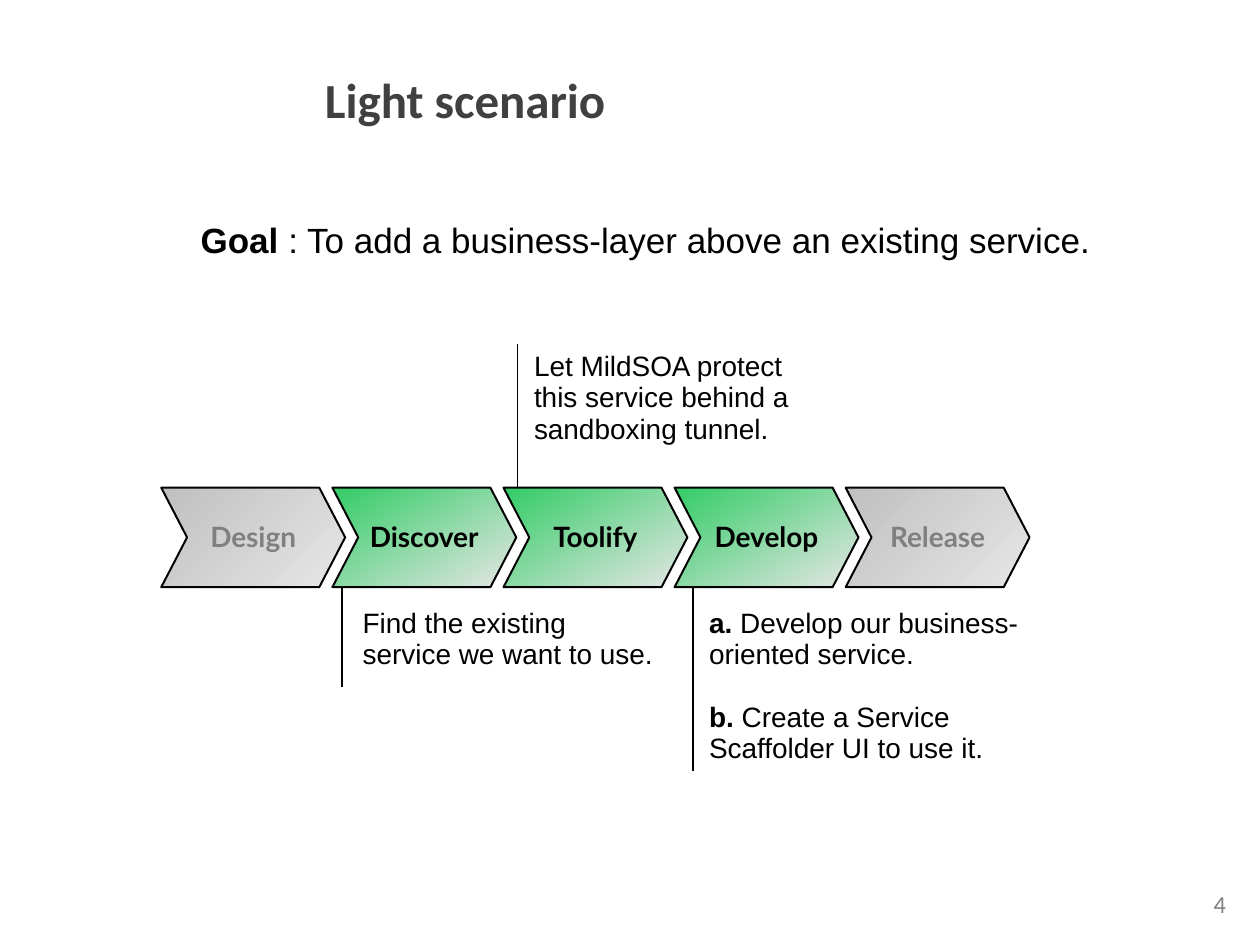
from pptx import Presentation, util as u
from pptx.dml.color import RGBColor
from pptx.enum import shapes, text
from lxml import etree

COLORS = {"ink": "000000", "title": "404040", "muted": "808080",
          "green": "33CC66", "silver": "C0C0C0", "pale": "E6E6E6"}
A_NS = "http://schemas.openxmlformats.org/drawingml/2006/main"
COLS, ROWS = 100, 75


def rgb(name):
    return RGBColor.from_string(COLORS[name])


class Deck:
    """Slide style; lengths are columns and rows of a 100 x 75 grid."""

    def __init__(self):
        self.prs = Presentation()
        self.prs.slide_width, self.prs.slide_height = u.Inches(10), u.Inches(7.5)
        self.s = self.prs.slides.add_slide(self.prs.slide_layouts[6])

    def x(self, cols):
        return round(self.prs.slide_width * cols / COLS)

    def y(self, rows):
        return round(self.prs.slide_height * rows / ROWS)

    def box(self, left, top, width, height):
        return self.x(left), self.y(top), self.x(width), self.y(height)

    def add_runs(self, tf, paragraphs, font, size, color, align, spacing, gap=0):
        """Each paragraph is a list of (words, bold) runs."""
        for i, runs in enumerate(paragraphs):
            p = tf.add_paragraph() if i else tf.paragraphs[0]
            p.alignment, p.line_spacing = align, spacing
            if i:
                p.space_before = u.Pt(gap)
            for words, bold in runs:
                r = p.add_run()
                r.text = words
                r.font.name, r.font.size, r.font.bold = font, u.Pt(size), bold
                r.font.color.rgb = rgb(color)

    def text(self, at, paragraphs, font="Arial", size=16, color="ink",
             align=text.PP_ALIGN.LEFT, spacing=0.93, gap=0, inset=0.06):
        tf = self.s.shapes.add_textbox(*self.box(*at)).text_frame
        tf.word_wrap = True
        tf.margin_top = u.Inches(inset)
        self.add_runs(tf, paragraphs, font, size, color, align, spacing, gap)

    def step(self, at, label, active):
        sp = self.s.shapes.add_shape(shapes.MSO_SHAPE.CHEVRON, *self.box(*at))
        sp.adjustments[0] = 0.26
        sp.shadow.inherit = False
        sp.fill.gradient()
        sp.fill.gradient_angle = 300 if active else 315
        for stop, name in zip(sp.fill.gradient_stops,
                              ("green" if active else "silver", "pale")):
            stop.color.rgb = rgb(name)
        sp.line.color.rgb, sp.line.width = rgb("ink"), u.Pt(1.13)
        tf = sp.text_frame
        tf.word_wrap = False
        tf.vertical_anchor = text.MSO_ANCHOR.MIDDLE
        self.add_runs(tf, [[(label, True)]], "Lato", 16,
                      "ink" if active else "muted", text.PP_ALIGN.CENTER, 0.97)

    def rule(self, col, top, bottom):
        line = self.s.shapes.add_connector(shapes.MSO_CONNECTOR.STRAIGHT, self.x(col),
                                           self.y(top), self.x(col), self.y(bottom))
        line.line.color.rgb, line.line.width = rgb("ink"), u.Pt(0.75)
        etree.SubElement(line._element.spPr, f"{{{A_NS}}}effectLst")


def main():
    deck = Deck()

    # Title and goal
    deck.text((24.8, 5, 73.2, 5.7), [[("Light scenario", True)]], font="Calibri",
              size=28, color="title", spacing=1, inset=0.05)
    deck.text((9.1, 16.9, 84.3, 4.1),
              [[("Goal ", True),
                (": To add a business-layer above an existing service.", False)]],
              size=20, align=text.PP_ALIGN.CENTER, inset=0.07)

    # Process chevrons
    left, pitch, top, width, height = 12.8, 13.58, 38.7, 14.6, 7.9
    steps = [("Design", False), ("Discover", True), ("Toolify", True),
             ("Develop", True), ("Release", False)]
    for i, (label, active) in enumerate(steps):
        deck.step((left + i * pitch, top, width, height), label, active)

    # Leader lines
    bottom = top + height
    for col, start, end in [(27.15, bottom, 54.5), (41.1, 27.3, top),
                            (55, bottom, 61.2)]:
        deck.rule(col, start, end)

    # Step notes
    deck.text((27.8, 47.7, 25.4, 14.5),
              [[("Find the existing service we want to use.", False)]])
    deck.text((41.4, 27.3, 25.4, 14.5),
              [[("Let MildSOA protect", False)],
               [("this service behind a sandboxing tunnel.", False)]])
    deck.text((55.3, 47.7, 29.7, 14.5),
              [[("a.", True), (" Develop our business-oriented service.", False)],
               [("b. ", True), ("Create a Service Scaffolder UI to use it.", False)]],
              gap=18)

    # Page number
    deck.text((78.7, 70.1, 19.6, 3.9), [[("4", False)]], font="Calibri", size=14,
              color="muted", align=text.PP_ALIGN.RIGHT, spacing=1, inset=0.05)

    deck.prs.save("out.pptx")


if __name__ == "__main__":
    main()
